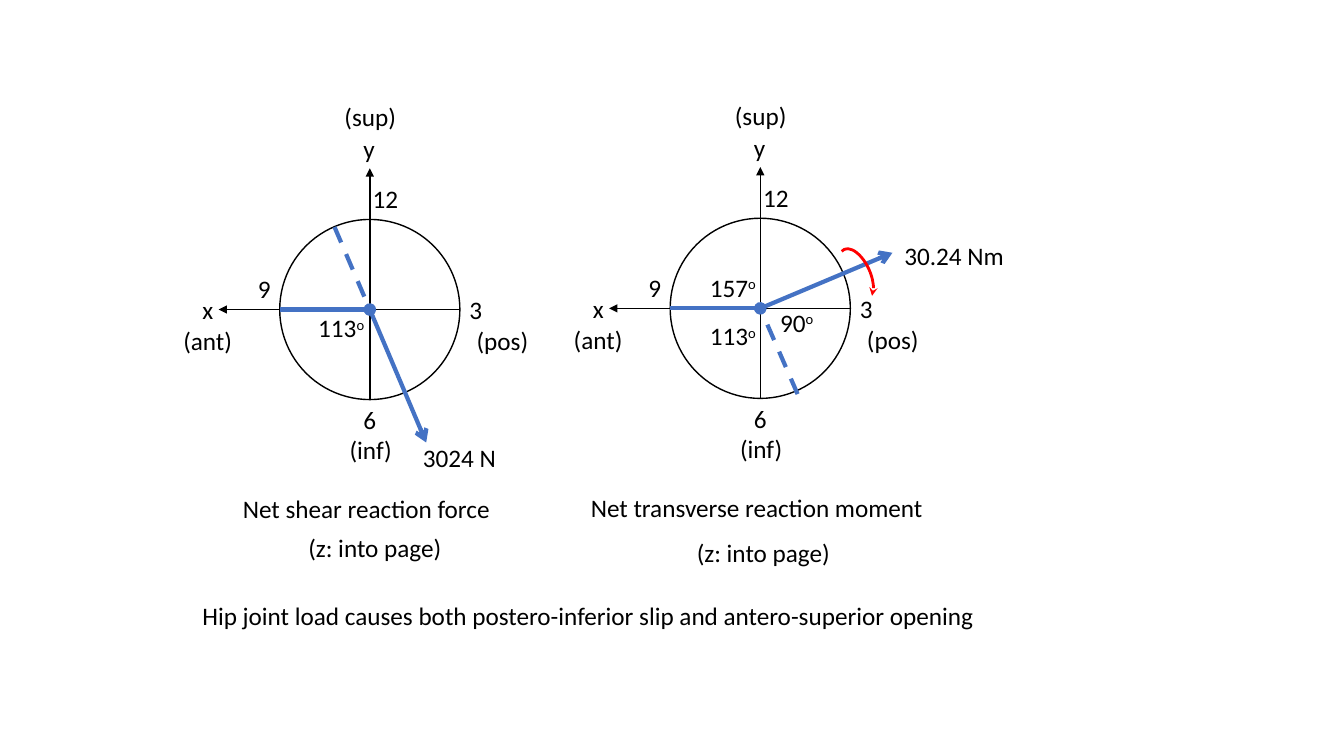
from dataclasses import dataclass

from lxml.etree import SubElement
from pptx import Presentation
from pptx.dml.color import RGBColor
from pptx.enum.dml import MSO_LINE
from pptx.enum.shapes import MSO_CONNECTOR, MSO_SHAPE
from pptx.enum.text import MSO_AUTO_SIZE
from pptx.oxml.ns import qn
from pptx.util import Cm, Pt


@dataclass(frozen=True)
class Theme:
    """Colours, type and line widths of the slide."""
    ink: RGBColor = RGBColor(0x00, 0x00, 0x00)
    load: RGBColor = RGBColor(0x44, 0x72, 0xC4)
    turn: RGBColor = RGBColor(0xFF, 0x00, 0x00)
    font: str = "Calibri"
    size: Pt = Pt(18)
    thin: Pt = Pt(0.5)
    normal: Pt = Pt(1)
    medium: Pt = Pt(2)
    thick: Pt = Pt(3)


THEME = Theme()
RADIUS = 2.27
LABEL_HEIGHT = 1.02
CLOCK_LABELS = [
    ("x", -4.47, -0.51, 0.79),
    ("y", -0.41, -4.57, 0.81),
    ("12", -0.18, -3.3, 1.17),
    ("3", 2.26, -0.51, 0.84),
    ("6", -0.41, 2.26, 0.84),
    ("9", -3.07, -1.04, 0.84),
    ("(ant)", -4.95, 0.28, 1.75),
    ("(sup)", -0.89, -5.36, 1.83),
    ("(pos)", 2.44, 0.28, 1.83),
    ("(inf)", -0.76, 3.02, 1.6),
]
FORCE_LABELS = [
    ("Net shear reaction force", -3.45, 4.5, 6.96),
    ("113^o", -1.55, -0.05, 1.73),
    ("3024 N", 1.09, 3.23, 2.36),
    ("(z: into page)", -1.8, 5.49, 3.91),
]
MOMENT_LABELS = [
    ("Net transverse reaction moment", -4.52, 4.5, 8.97),
    ("157^o", -1.52, -1.04, 1.73),
    ("30.24 Nm", 3.38, -1.85, 3.05),
    ("(z: into page)", -1.85, 5.64, 3.91),
    ("113^o", -1.52, 0.18, 1.73),
    ("90^o", 0.25, -0.15, 1.4),
]


def add_label(shapes, text, left, top, width):
    """Add an unwrapped label; what follows a caret is superscript."""
    label = shapes.add_textbox(Cm(left), Cm(top), Cm(width), Cm(LABEL_HEIGHT))
    frame = label.text_frame
    frame.word_wrap = False
    frame.auto_size = MSO_AUTO_SIZE.SHAPE_TO_FIT_TEXT
    paragraph = frame.paragraphs[0]
    base, _, raised = text.partition("^")
    paragraph.add_run().text = base
    if raised:
        exponent = paragraph.add_run()
        exponent.text = raised
        exponent._r.get_or_add_rPr().set("baseline", "30000")
    paragraph.font.name = THEME.font
    paragraph.font.size = THEME.size
    paragraph.font.color.rgb = THEME.ink


def style_line(line, color, width, head=None, tail=None, dashed=False):
    """Set colour, width, dash and end marks of a line."""
    line.color.rgb = color
    line.width = width
    if dashed:
        line.dash_style = MSO_LINE.DASH
    for tag, mark in (("a:headEnd", head), ("a:tailEnd", tail)):
        if mark:
            SubElement(line._get_or_add_ln(), qn(tag)).set("type", mark)


def add_outline(shapes, preset, left, top, width, height):
    """Add an unfilled preset shape without shadow."""
    outline = shapes.add_shape(preset, Cm(left), Cm(top), Cm(width), Cm(height))
    outline.shadow.inherit = False
    outline.fill.background()
    return outline


class Clock:
    """A clock face with anatomical axes, drawn around its centre."""

    def __init__(self, slide, x, y):
        """Draw the face, axes and direction labels."""
        self.x, self.y = x, y
        self.shapes = slide.shapes.add_group_shape().shapes
        face = add_outline(self.shapes, MSO_SHAPE.OVAL, x - RADIUS, y - RADIUS,
                           2 * RADIUS, 2 * RADIUS)
        style_line(face.line, THEME.ink, THEME.normal)
        self.ray((0, -3.56), (0, RADIUS), THEME.ink, THEME.normal, head="triangle")
        self.ray((-3.81, 0), (RADIUS, 0), THEME.ink, THEME.thin, head="triangle")
        self.labels(CLOCK_LABELS)

    def ray(self, start, end, color=THEME.load, width=THEME.thick, **marks):
        """Draw a line between two offsets from the centre."""
        ends = [Cm(value) for dx, dy in (start, end)
                for value in (self.x + dx, self.y + dy)]
        ray = self.shapes.add_connector(MSO_CONNECTOR.STRAIGHT, *ends)
        style_line(ray.line, color, width, **marks)
        SubElement(ray._element.spPr, qn("a:effectLst"))

    def labels(self, labels):
        """Place labels by their offset from the centre."""
        for text, dx, dy, width in labels:
            add_label(self.shapes, text, self.x + dx, self.y + dy, width)

    def load(self, tip, extension):
        """Draw the load arrow, its dashed line and the 9 o'clock line."""
        self.ray((0, 0), tip, head="oval", tail="arrow")
        self.ray(extension, (0, 0), dashed=True)
        self.ray((0, 0), (-RADIUS, 0))

    def rotation(self, dx, dy, width, height):
        """Draw the curved arrow that shows the sense of the moment."""
        turn = add_outline(self.shapes, MSO_SHAPE.ARC, self.x + dx, self.y + dy,
                           width, height)
        turn.adjustments[0] = 157.98
        turn.adjustments[1] = 46.296
        turn.rotation = 335.4
        style_line(turn.line, THEME.turn, THEME.medium, tail="stealth")


def main():
    """Build the slide and save it."""
    presentation = Presentation()
    presentation.slide_width = Cm(33.87)
    presentation.slide_height = Cm(19.05)
    slide = presentation.slides.add_slide(presentation.slide_layouts[6])

    force = Clock(slide, 9.32, 7.8)
    force.load((1.42, 3.35), (-0.89, -2.08))
    force.labels(FORCE_LABELS)

    moment = Clock(slide, 19.16, 7.77)
    moment.load((3.33, -1.4), (0.94, 2.16))
    moment.labels(MOMENT_LABELS)
    moment.rotation(2.06, -1.55, 0.71, 1.42)

    add_label(slide.shapes, "Hip joint load causes both postero-inferior slip "
              "and antero-superior opening", 4.85, 15.01, 20.62)
    presentation.save("out.pptx")


main()
